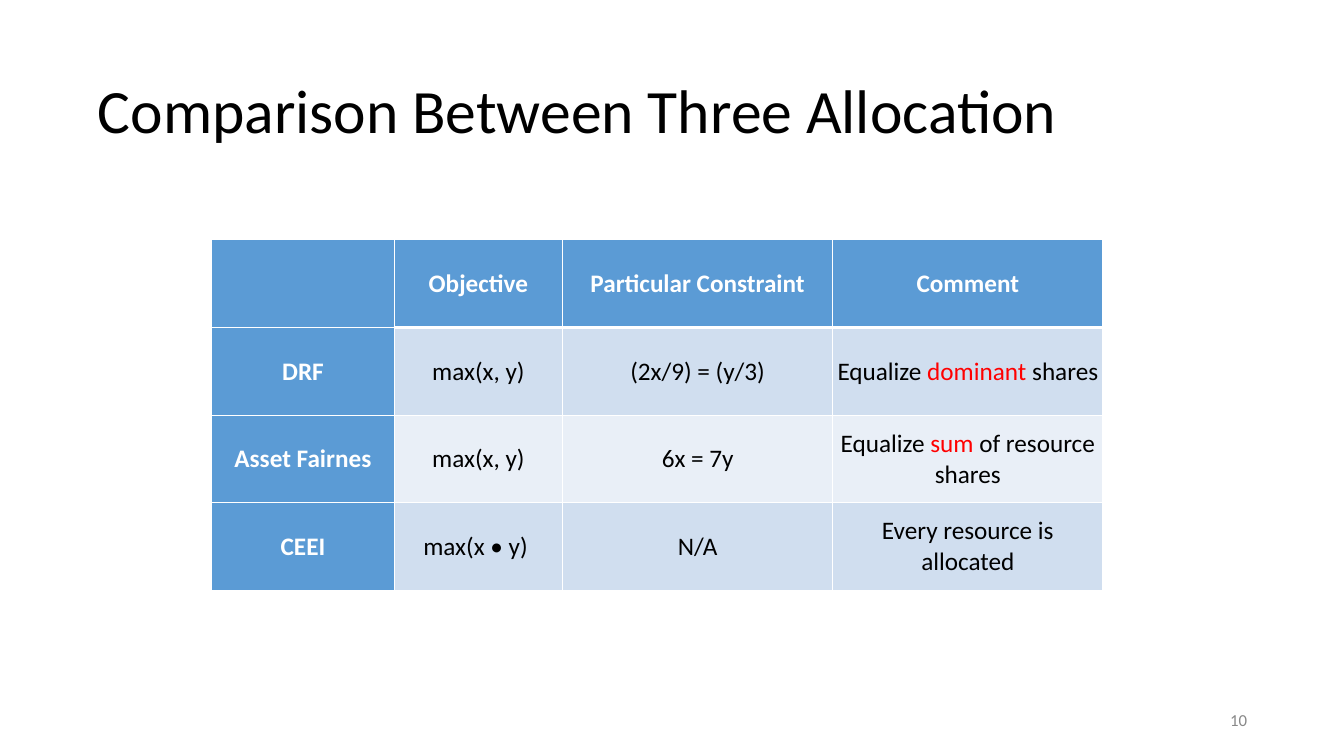
from dataclasses import dataclass

from lxml import etree
from pptx import Presentation
from pptx import util as u
from pptx.dml.color import RGBColor
from pptx.enum import text
from pptx.oxml import ns


@dataclass(frozen=True)
class Theme:
    font: str = "Calibri"
    ink: str = "000000"
    white: str = "FFFFFF"
    accent: str = "FF0000"
    muted: str = "888888"
    header: str = "5B9BD5"
    bands: tuple[str, str] = ("D0DEEF", "E9EFF7")
    title_size: int = 44
    table_size: int = 18
    number_size: int = 12
    thin: float = 1
    thick: float = 3


@dataclass(frozen=True)
class Span:
    words: str
    color: str
    size: int
    bold: bool = False


@dataclass(frozen=True)
class Label:
    span: Span
    box: tuple[float, float, float, float]
    align: text.PP_ALIGN
    wrap: bool
    auto_size: text.MSO_AUTO_SIZE
    line_spacing: float = 1.0


@dataclass(frozen=True)
class Comment:
    before: str
    key: str = ""
    after: str = ""


@dataclass(frozen=True)
class Allocation:
    name: str
    objective: str
    constraint: str
    comment: Comment


THEME = Theme()
HEADINGS = ("", "Objective", "Particular Constraint", "Comment")
ALLOCATIONS = (
    Allocation("DRF", "max(x, y)", "(2x/9) = (y/3)",
               Comment("Equalize ", "dominant", " shares")),
    Allocation("Asset Fairnes", "max(x, y)", "6x = 7y",
               Comment("Equalize", " sum", " of resource shares")),
    Allocation("CEEI", "max(x • y) ", "N/A", Comment("Every resource is allocated")),
)
LABELS = (
    Label(Span("Comparison Between Three Allocation", THEME.ink, THEME.title_size),
          (0.92, 0.4, 11.5, 1.45), text.PP_ALIGN.LEFT, True,
          text.MSO_AUTO_SIZE.NONE, 0.9),
    Label(Span("10", THEME.muted, THEME.number_size),
          (12.14, 7, 0.28, 0.29), text.PP_ALIGN.RIGHT, False,
          text.MSO_AUTO_SIZE.SHAPE_TO_FIT_TEXT),
)
TABLE_LEFT, TABLE_TOP = 2.1, 2.38
COLUMN_WIDTHS = (1.81, 1.67, 2.68, 2.68)
ROW_HEIGHT = 0.87
LABEL_INSET = 0.05


def apply(target: object, values: dict[str, object]) -> None:
    for name, value in values.items():
        setattr(target, name, value)


def margins(inset: float) -> dict[str, object]:
    return {f"margin_{side}": u.Inches(inset)
            for side in ("left", "top", "right", "bottom")}


def write_spans(paragraph, spans: list[Span], align: text.PP_ALIGN) -> None:
    paragraph.alignment = align
    for span in spans:
        run = paragraph.add_run()
        run.text = span.words
        apply(run.font, {"name": THEME.font, "size": u.Pt(span.size), "bold": span.bold})
        run.font.color.rgb = RGBColor.from_string(span.color)


def add_label(slide, label: Label) -> None:
    frame = slide.shapes.add_textbox(*map(u.Inches, label.box)).text_frame
    apply(frame, {"word_wrap": label.wrap, "auto_size": label.auto_size,
                  "vertical_anchor": text.MSO_ANCHOR.MIDDLE, **margins(LABEL_INSET)})
    paragraph = frame.paragraphs[0]
    paragraph.line_spacing = label.line_spacing
    write_spans(paragraph, [label.span], label.align)


def set_borders(cell, widths: dict[str, float]) -> None:
    """Put the border lines before the fill, as the cell schema requires."""
    properties = cell._tc.get_or_add_tcPr()
    for position, side in enumerate("LRTB"):
        line = etree.Element(ns.qn(f"a:ln{side}"), w=str(u.Pt(widths[side])))
        fill = etree.SubElement(line, ns.qn("a:solidFill"))
        etree.SubElement(fill, ns.qn("a:srgbClr"), val=THEME.white)
        properties.insert(position, line)


def fill_cell(cell, spans: list[Span], color: str, top: float, bottom: float) -> None:
    apply(cell, {"vertical_anchor": text.MSO_ANCHOR.MIDDLE, **margins(0)})
    cell.fill.solid()
    cell.fill.fore_color.rgb = RGBColor.from_string(color)
    set_borders(cell, {"L": THEME.thin, "R": THEME.thin, "T": top, "B": bottom})
    write_spans(cell.text_frame.paragraphs[0], spans, text.PP_ALIGN.CENTER)


def heading_spans(words: str) -> list[Span]:
    return [Span(words, THEME.white, THEME.table_size, True)] if words else []


def body_spans(comment: Comment) -> list[Span]:
    parts = ((comment.before, THEME.ink), (comment.key, THEME.accent),
             (comment.after, THEME.ink))
    return [Span(words, color, THEME.table_size) for words, color in parts if words]


def add_comparison(slide) -> None:
    row_count = len(ALLOCATIONS) + 1
    table = slide.shapes.add_table(
        row_count, len(COLUMN_WIDTHS), u.Inches(TABLE_LEFT), u.Inches(TABLE_TOP),
        u.Inches(sum(COLUMN_WIDTHS)), u.Inches(ROW_HEIGHT * row_count)).table
    table.first_col = True
    for column, width in zip(table.columns, COLUMN_WIDTHS):
        column.width = u.Inches(width)
    for row in table.rows:
        row.height = u.Inches(ROW_HEIGHT)

    for column, heading in enumerate(HEADINGS):
        rule = THEME.thick if column else THEME.thin
        fill_cell(table.cell(0, column), heading_spans(heading), THEME.header,
                  THEME.thin, rule)
    for row, allocation in enumerate(ALLOCATIONS, start=1):
        fill_cell(table.cell(row, 0), heading_spans(allocation.name), THEME.header,
                  THEME.thin, THEME.thin)
        band = THEME.bands[(row - 1) % len(THEME.bands)]
        top = THEME.thick if row == 1 else THEME.thin
        values = (Comment(allocation.objective), Comment(allocation.constraint),
                  allocation.comment)
        for column, value in enumerate(values, start=1):
            fill_cell(table.cell(row, column), body_spans(value), band, top, THEME.thin)


def main() -> None:
    deck = Presentation()
    apply(deck, {"slide_width": u.Inches(13.33), "slide_height": u.Inches(7.5)})
    slide = deck.slides.add_slide(deck.slide_layouts[6])
    for label in LABELS:
        add_label(slide, label)
    add_comparison(slide)
    deck.save("out.pptx")


if __name__ == "__main__":
    main()
